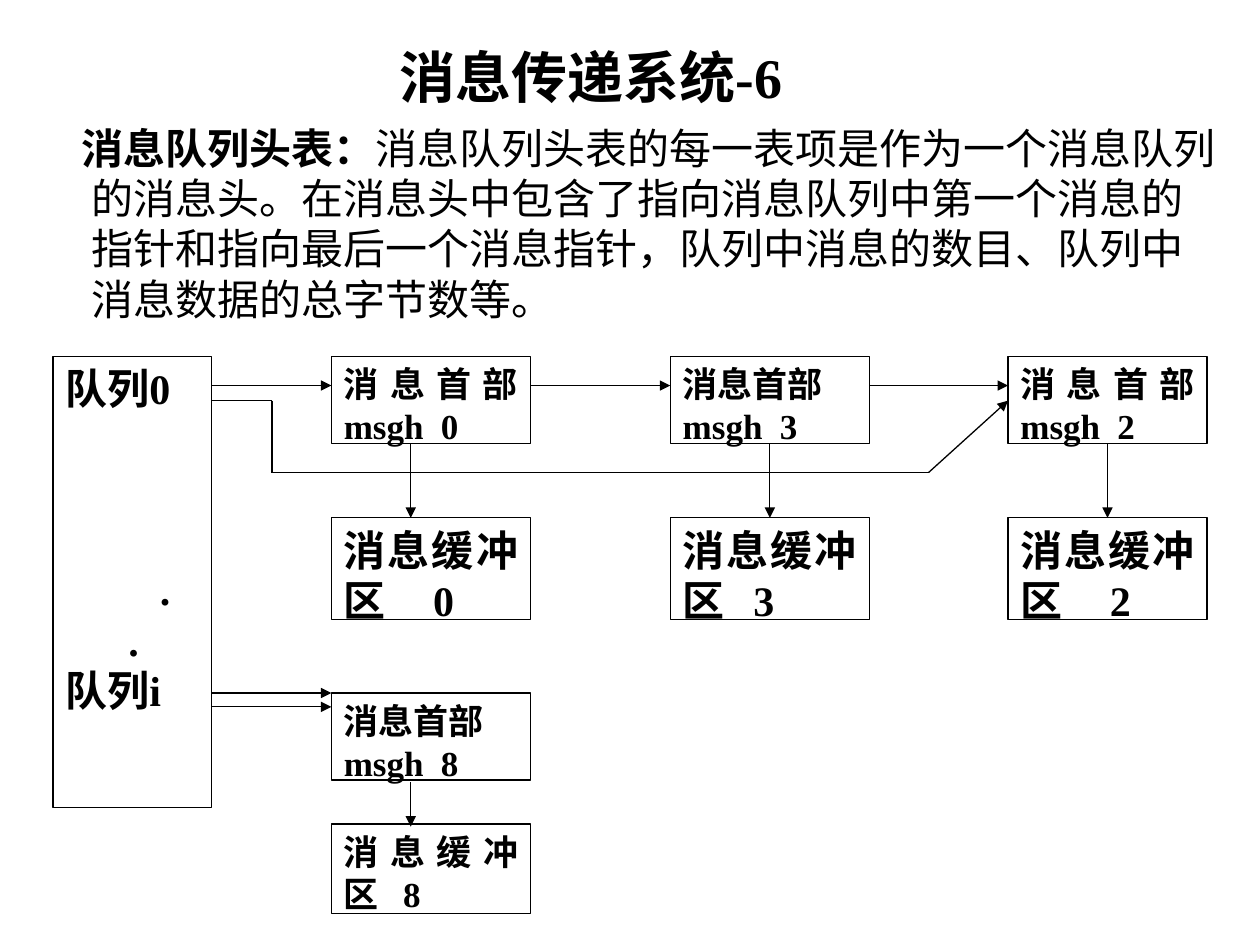
from itertools import pairwise

from pptx import Presentation
from pptx.dml.color import RGBColor
from pptx.enum.shapes import MSO_CONNECTOR as CONNECTOR, MSO_SHAPE as SHAPE
from pptx.enum.text import MSO_ANCHOR as ANCHOR, PP_ALIGN as ALIGN
from pptx.oxml.ns import qn
from pptx.util import Inches, Pt

BLACK, WHITE = "000000", "FFFFFF"
SERIF, SANS = "Times New Roman", "Noto Sans CJK SC"
BOX_WIDTH, HEADER_HEIGHT = 1.58, 0.69
HEADER_TOP, BUFFER_TOP = 2.83, 4.11
QUEUE_LEFT, QUEUE_WIDTH = 0.42, 1.26
QUEUE_RIGHT = QUEUE_LEFT + QUEUE_WIDTH
FIRST_LINK, LAST_LINK, BUS = 3.06, 3.18, 3.75
DEFINITION = (
    "消息队列头表的每一表项是作为一个消息队列的消息头。"
    "在消息头中包含了指向消息队列中第一个消息的指针和指向最后一个消息指针，"
    "队列中消息的数目、队列中消息数据的总字节数等。"
)
# left, drop arrow, header lines, buffer text, tab before the buffer number
MESSAGES = [
    (2.63, 3.26, ["消息首部msgh\t0"], "消息缓冲区\t0", 0.71),
    (5.32, 6.11, ["消息首部", "msgh\t3"], "消息缓冲区\t3", 0.56),
    (8.0, 8.79, ["消息首部msgh\t2"], "消息缓冲区\t2", 0.71),
]


def color(hex_value):
    """Return the colour for a hex string."""
    return RGBColor.from_string(hex_value)


def style(paragraph, size, font=SERIF, bold=None, align=ALIGN.JUSTIFY):
    """Set the font and alignment of a paragraph."""
    paragraph.alignment = align
    paragraph.font.size = Pt(size)
    paragraph.font.name = font
    paragraph.font.bold = bold
    paragraph.font.color.rgb = color(BLACK)


def indent(paragraph, left, first=0):
    """Set the left margin and first-line indent in inches."""
    properties = paragraph._p.get_or_add_pPr()
    properties.set("marL", str(Inches(left)))
    properties.set("indent", str(Inches(first)))


def add_tab(paragraph, position):
    """Add a left tab stop ahead of the paragraph's default font."""
    properties = paragraph._p.get_or_add_pPr()
    tabs = properties.makeelement(qn("a:tabLst"), {})
    stop = tabs.makeelement(qn("a:tab"), {"pos": str(Inches(position)), "algn": "l"})
    tabs.append(stop)
    properties.find(qn("a:defRPr")).addprevious(tabs)


def add_title(slide):
    """Fill and place the title."""
    title = slide.shapes.title
    title.left, title.top = Inches(0.44), Inches(0.25)
    title.width, title.height = Inches(8.5), Inches(0.67)
    title.text_frame.text = "消息传递系统-6"
    title.text_frame.vertical_anchor = ANCHOR.BOTTOM
    style(title.text_frame.paragraphs[0], 32, bold=True, align=ALIGN.CENTER)


def add_definition(slide):
    """Add the paragraph with its bold lead-in."""
    box = slide.shapes.add_textbox(Inches(0.25), Inches(0.92), Inches(9.5), Inches(1.8))
    box.text_frame.word_wrap = True
    paragraph = box.text_frame.paragraphs[0]
    style(paragraph, 24, SANS, align=ALIGN.LEFT)
    indent(paragraph, 0.38, -0.08)
    for text, bold in (("消息队列头表：", True), (DEFINITION, False)):
        run = paragraph.add_run()
        run.text = text
        run.font.bold = bold


def add_box(slide, left, top, width, height, lines, size, tab=None):
    """Add an outlined box and return its paragraphs."""
    box = slide.shapes.add_shape(
        SHAPE.RECTANGLE, Inches(left), Inches(top), Inches(width), Inches(height)
    )
    box.shadow.inherit = False
    box.fill.solid()
    box.fill.fore_color.rgb = color(WHITE)
    box.line.color.rgb = color(BLACK)
    box.line.width = Pt(0.75)
    frame = box.text_frame
    frame.word_wrap = True
    frame.vertical_anchor = ANCHOR.TOP
    frame.text = "\n".join(lines)
    for paragraph in frame.paragraphs:
        style(paragraph, size, bold=True)
        if tab:
            add_tab(paragraph, tab)
    return frame.paragraphs


def add_line(slide, start, end, arrow=True):
    """Add a straight line, with an arrowhead at its end if wanted."""
    line = slide.shapes.add_connector(
        CONNECTOR.STRAIGHT, *(Inches(value) for value in (*start, *end))
    )
    line.line.color.rgb = color(BLACK)
    line.line.width = Pt(0.75)
    properties = line._element.spPr
    if arrow:
        outline = line.line._get_or_add_ln()
        outline.append(outline.makeelement(qn("a:tailEnd"), {"type": "triangle"}))
    properties.append(properties.makeelement(qn("a:effectLst"), {}))


def add_queue_table(slide):
    """Add the queue head table with its two dots."""
    lines = ["队列0", ".", ".", "队列i"]
    _, upper_dot, lower_dot, _ = add_box(
        slide, QUEUE_LEFT, HEADER_TOP, QUEUE_WIDTH, 3.58, lines, 24
    )
    upper_dot.space_before = Pt(86)
    indent(upper_dot, 0.75)
    indent(lower_dot, 0.5)


def add_header(slide, left, top, lines):
    """Add a message header box."""
    add_box(slide, left, top, BOX_WIDTH, HEADER_HEIGHT, lines, 20, 0.77)


def add_first_queue(slide):
    """Add the three chained messages and the links of queue 0."""
    link_start = QUEUE_RIGHT
    for left, drop, header, buffer, tab in MESSAGES:
        add_header(slide, left, HEADER_TOP, header)
        add_box(slide, left, BUFFER_TOP, BOX_WIDTH, 0.81, [buffer], 24, tab)
        add_line(slide, (link_start, FIRST_LINK), (left, FIRST_LINK))
        add_line(slide, (drop, HEADER_TOP + HEADER_HEIGHT), (drop, BUFFER_TOP))
        link_start = left + BOX_WIDTH
    route = [(QUEUE_RIGHT, LAST_LINK), (2.16, LAST_LINK), (2.16, BUS),
             (7.37, BUS), (MESSAGES[-1][0], LAST_LINK)]
    for start, end in pairwise(route):
        add_line(slide, start, end, arrow=end == route[-1])


def add_last_queue(slide):
    """Add the single message of queue i."""
    left, drop = MESSAGES[0][:2]
    add_header(slide, left, 5.5, ["消息首部", "msgh\t8"])
    add_box(slide, left, 6.54, BOX_WIDTH, 0.71, ["消息缓冲区\t8"], 20, 0.47)
    for link in (5.5, 5.61):
        add_line(slide, (QUEUE_RIGHT, link), (left, link))
    add_line(slide, (drop, 6.21), (drop, 6.56))


def main():
    """Build and save the slide."""
    deck = Presentation()
    deck.slide_width, deck.slide_height = Inches(10), Inches(7.5)
    slide = deck.slides.add_slide(deck.slide_layouts[5])
    add_title(slide)
    add_definition(slide)
    add_queue_table(slide)
    add_first_queue(slide)
    add_last_queue(slide)
    deck.save("out.pptx")


if __name__ == "__main__":
    main()
